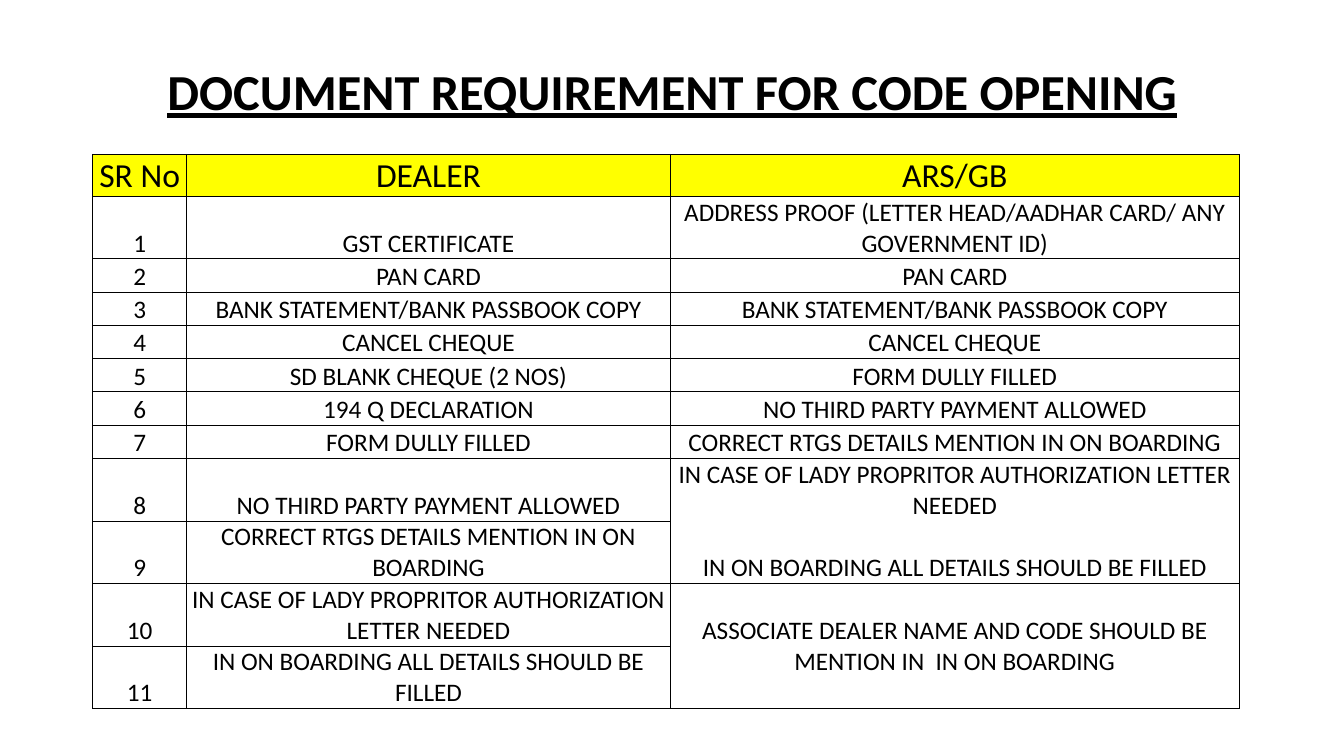
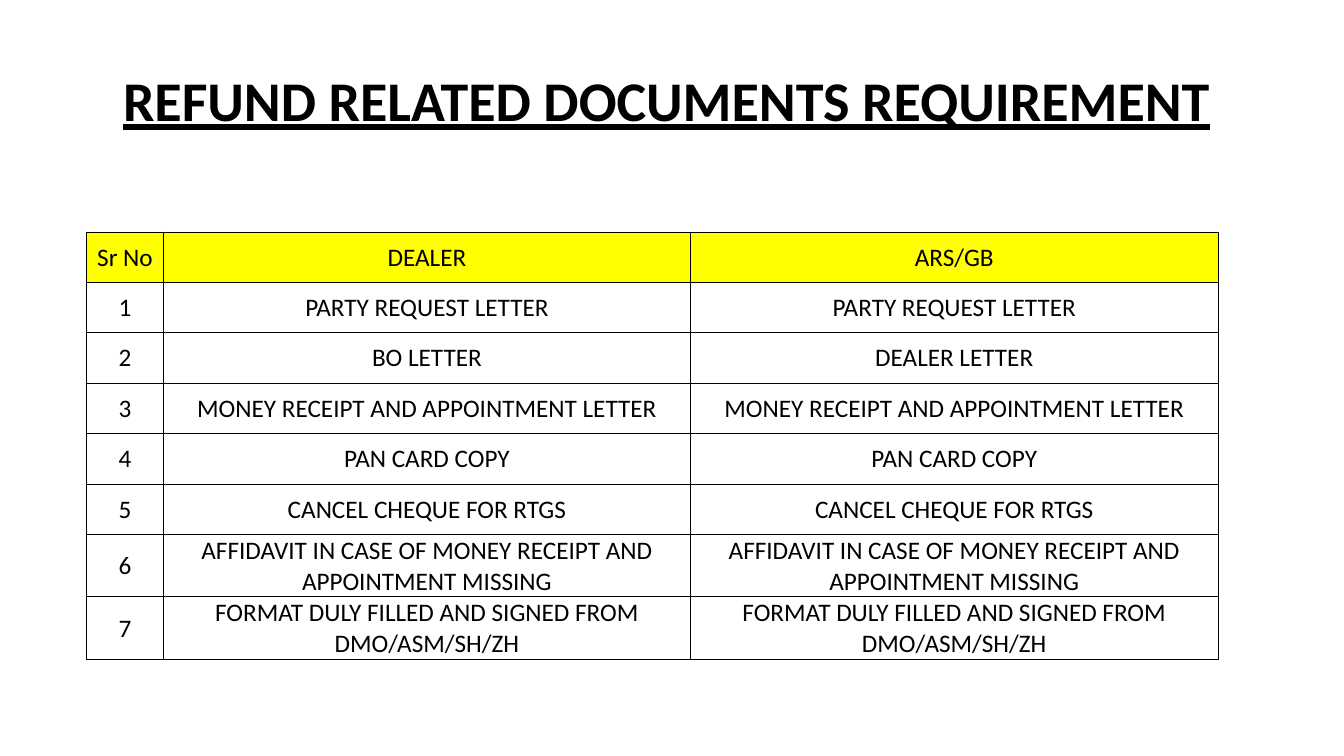
from lxml.etree import SubElement
from pptx import Presentation
from pptx.dml.color import RGBColor
from pptx.enum.text import MSO_ANCHOR as Anchor, MSO_AUTO_SIZE as Fit, PP_ALIGN as Align
from pptx.oxml.ns import qn
from pptx.util import Inches, Pt

# Shared look
FONT = "Calibri"
BLACK, YELLOW = "000000", "FFFF00"
EDGE = 0.5
SIZE = 18
TITLE_W, TITLE_H = 11.5, 1.45
SIDES = "LRTB"

CODE_ROWS = [
    ("SR No", "DEALER", "ARS/GB"),
    ("1", "GST CERTIFICATE",
     "ADDRESS PROOF (LETTER HEAD/AADHAR CARD/ ANY GOVERNMENT ID)"),
    ("2", "PAN CARD", "PAN CARD"),
    ("3", "BANK STATEMENT/BANK PASSBOOK COPY", "BANK STATEMENT/BANK PASSBOOK COPY"),
    ("4", "CANCEL CHEQUE", "CANCEL CHEQUE"),
    ("5", "SD BLANK CHEQUE (2 NOS)", "FORM DULLY FILLED"),
    ("6", "194 Q DECLARATION", "NO THIRD PARTY PAYMENT ALLOWED"),
    ("7", "FORM DULLY FILLED", "CORRECT RTGS DETAILS MENTION IN ON BOARDING"),
    ("8", "NO THIRD PARTY PAYMENT ALLOWED",
     "IN CASE OF LADY PROPRITOR AUTHORIZATION LETTER NEEDED"),
    ("9", "CORRECT RTGS DETAILS MENTION IN ON BOARDING",
     "IN ON BOARDING ALL DETAILS SHOULD BE FILLED"),
    ("10", "IN CASE OF LADY PROPRITOR AUTHORIZATION LETTER NEEDED",
     "ASSOCIATE DEALER NAME AND CODE SHOULD BE MENTION IN  IN ON BOARDING"),
    ("11", "IN ON BOARDING ALL DETAILS SHOULD BE FILLED", ""),
]

REFUND_ROWS = [
    ("Sr No", "DEALER", "ARS/GB"),
    ("1", "PARTY REQUEST LETTER", "PARTY REQUEST LETTER"),
    ("2", "BO LETTER", "DEALER LETTER"),
    ("3", "MONEY RECEIPT AND APPOINTMENT LETTER", "MONEY RECEIPT AND APPOINTMENT LETTER"),
    ("4", "PAN CARD COPY", "PAN CARD COPY"),
    ("5", "CANCEL CHEQUE FOR RTGS", "CANCEL CHEQUE FOR RTGS"),
    ("6", "AFFIDAVIT IN CASE OF MONEY RECEIPT AND APPOINTMENT MISSING",
     "AFFIDAVIT IN CASE OF MONEY RECEIPT AND APPOINTMENT MISSING"),
    ("7", "FORMAT DULY FILLED AND SIGNED FROM DMO/ASM/SH/ZH",
     "FORMAT DULY FILLED AND SIGNED FROM DMO/ASM/SH/ZH"),
]


def paint(color, value):
    color.rgb = RGBColor.from_string(value)


def write(frame, text, size):
    """Fill a text frame with one centred run and return the run's font."""
    para = frame.paragraphs[0]
    para.alignment = Align.CENTER
    if text:
        run = para.add_run()
        run.text = text
        font = run.font
    else:
        font = para.font
    font.name, font.size = FONT, Pt(size)
    paint(font.color, BLACK)
    return font


def add_title(slide, text, left, top, size):
    title = slide.shapes.title
    title.left, title.top = Inches(left), Inches(top)
    title.width, title.height = Inches(TITLE_W), Inches(TITLE_H)
    frame = title.text_frame
    frame.word_wrap, frame.auto_size = True, Fit.NONE
    frame.vertical_anchor = Anchor.MIDDLE
    font = write(frame, text, size)
    font.bold = font.underline = True
    frame.paragraphs[0].line_spacing = 0.9


def set_edges(cell, bare):
    """Draw the cell's borders, leaving out the sides named in bare."""
    props = cell._tc.get_or_add_tcPr()
    for side in SIDES:
        line = SubElement(props, qn(f"a:ln{side}"), w=str(Pt(EDGE)))
        if side in bare:
            SubElement(line, qn("a:noFill"))
        else:
            fill = SubElement(line, qn("a:solidFill"))
            SubElement(fill, qn("a:srgbClr"), val=BLACK)


def set_cell(cell, text, size, anchor, head, bare):
    set_edges(cell, bare)
    if head:
        cell.fill.solid()
        paint(cell.fill.fore_color, YELLOW)
    else:
        cell.fill.background()
    cell.margin_left = cell.margin_right = cell.margin_top = Inches(0.01)
    cell.margin_bottom = 0
    cell.vertical_anchor = anchor
    write(cell.text_frame, text, size)


def add_grid(slide, rows, left, top, cols, high, anchor, head=SIZE, bare=None):
    """Place a table; bare maps (row, column) to its sides without a line."""
    bare = bare or {}
    shape = slide.shapes.add_table(
        len(rows), len(cols), Inches(left), Inches(top),
        Inches(sum(cols)), Inches(high * len(rows)))
    table = shape.table
    table.first_row = table.horz_banding = False
    for col, width in zip(table.columns, cols):
        col.width = Inches(width)
    for r, row in enumerate(rows):
        table.rows[r].height = Inches(high)
        for c, text in enumerate(row):
            set_cell(table.cell(r, c), text, SIZE if r else head,
                     anchor, r == 0, bare.get((r, c), ""))
    return table


def code_slide(slide):
    left = 0.92
    add_title(slide, "DOCUMENT REQUIREMENT FOR CODE OPENING", left, 0.21, 36)
    table = add_grid(slide, CODE_ROWS, left, 1.53, (0.93, 4.8, 5.64), 0.33,
                     Anchor.BOTTOM, head=24, bare={(8, 2): "B", (9, 2): "T"})
    # The last note covers two rows
    note = table.cell(10, 2)
    note.merge(table.cell(11, 2))
    note.vertical_anchor = Anchor.MIDDLE


def refund_slide(slide):
    left = 0.86
    add_title(slide, "REFUND RELATED DOCUMENTS REQUIREMENT", left, 0.3, 40)
    add_grid(slide, REFUND_ROWS, left, 2.3, (0.76, 5.23, 5.23), 0.5, Anchor.MIDDLE)


def main():
    deck = Presentation()
    deck.slide_width, deck.slide_height = Inches(13.33), Inches(7.5)
    layout = deck.slide_layouts.get_by_name("Title Only")
    for build in (code_slide, refund_slide):
        build(deck.slides.add_slide(layout))
    deck.save("out.pptx")


if __name__ == "__main__":
    main()
